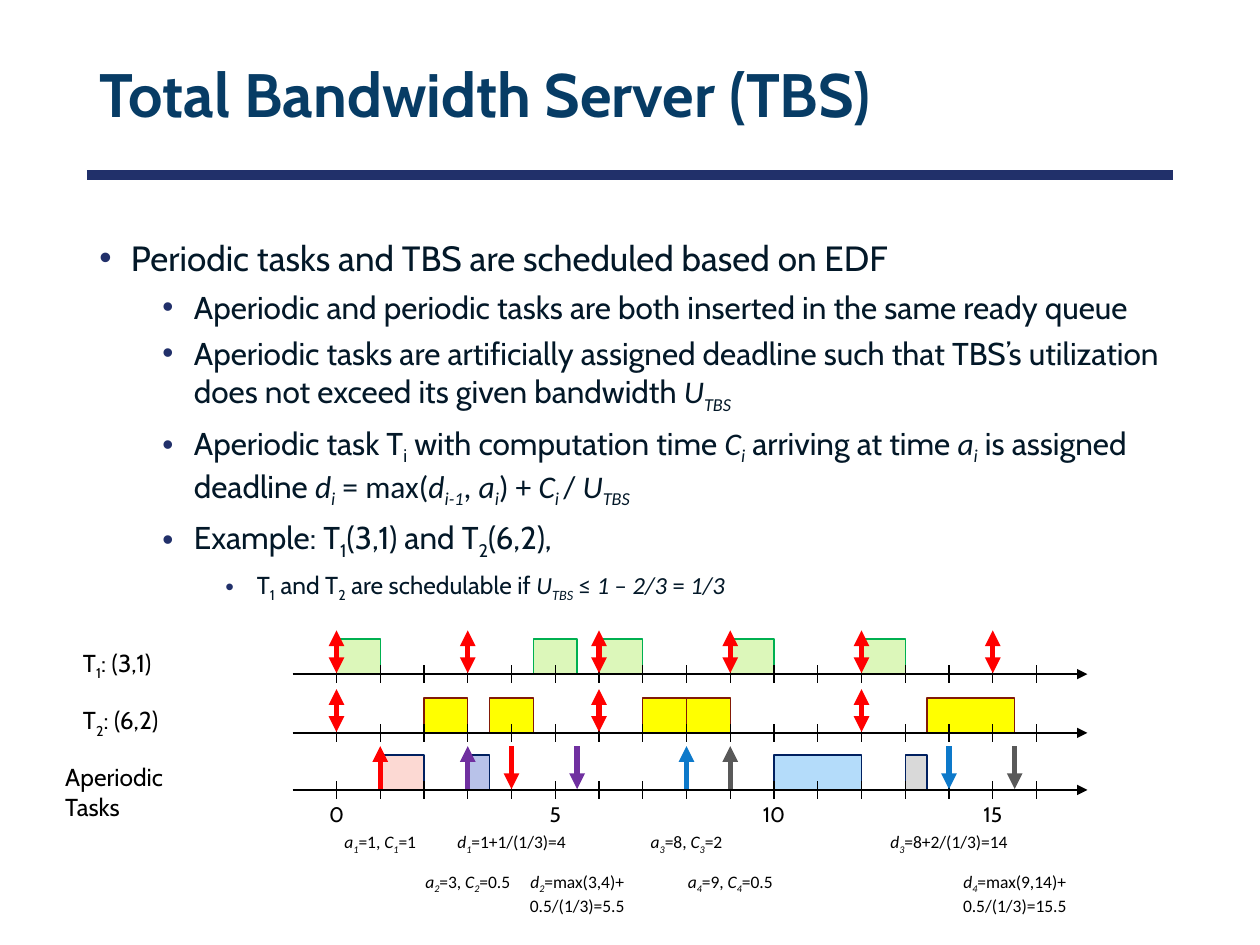
from lxml import etree
from pptx import Presentation
from pptx.dml.color import RGBColor
from pptx.enum.shapes import MSO_CONNECTOR, MSO_SHAPE
from pptx.enum.text import MSO_ANCHOR, PP_ALIGN
from pptx.oxml.ns import qn
from pptx.util import Pt

RECT = MSO_SHAPE.RECTANGLE
STRAIGHT = MSO_CONNECTOR.STRAIGHT
MIDDLE = MSO_ANCHOR.MIDDLE
LEFT, CENTER = PP_ALIGN.LEFT, PP_ALIGN.CENTER

COLORS = {
    "title": "073C65", "body": "031828", "accent": "21306A", "black": "000000",
    "green": "DCF7BA", "green_edge": "00B050", "yellow": "FFFF00", "brown": "821A08",
    "pink": "FCD9D3", "lilac": "B8C2E9", "sky": "B4DCFA", "silver": "D9D9D9",
    "navy": "002060", "red": "FF0000", "purple": "7030A0", "blue": "0D79CA",
    "gray": "595959",
}
ORIGIN, UNIT, TICKS = 192.3, 25, 17
BAR_H, ARROW_H, TICK_H = 20, 25, 5

BULLETS = [
    (0, 20, "Periodic tasks and TBS are scheduled based on EDF"),
    (1, 18, "Aperiodic and periodic tasks are both inserted in the same ready queue"),
    (1, 18, "Aperiodic tasks are artificially assigned deadline such that TBS’s utilization "
            "does not exceed its given bandwidth ^*U~TBS~*^"),
    (1, 18, "Aperiodic task T~i~ with computation time ^*C~i~*^ arriving at time ^*a~i~*^ "
            "is assigned deadline ^*d~i~* = max(*d~i-1~*, *a~i~*) + *C~i ~*/* U~TBS~*^"),
    (1, 18, "Example: T~1~(3,1) and T~2~(6,2),"),
    (2, 14, "T~1~ and T~2~ are schedulable if ^*U~TBS~* ≤ *1* – *2/3* = *1/3*^"),
]

LANES = [
    ("T~1~: (3,1)", (40.3, 366.5, 58.3, 24.5), 385.2,
     [(t, 1, "green", "green_edge") for t in (0, 4.5, 6, 9, 12)],
     [(t, "red", True, True) for t in range(0, 16, 3)]),
    ("T~2~: (6,2)", (40.3, 399.6, 58.3, 24.5), 418.8,
     [(t, n, "yellow", "brown") for t, n in ((2, 1), (3.5, 1), (7, 1), (8, 1), (13.5, 2))],
     [(t, "red", True, True) for t in (0, 6, 12)]),
    ("Aperiodic Tasks", (30.2, 432, 96, 41), 451.4,
     [(1, 1, "pink", "navy"), (3, 0.5, "lilac", "navy"),
      (10, 2, "sky", "navy"), (13, 0.5, "silver", "navy")],
     [(t, c, False, True) for t, c in ((1, "red"), (3, "purple"), (8, "blue"), (9, "gray"))]
     + [(t, c, True, False) for t, c in ((4, "red"), (5.5, "purple"), (14, "blue"), (15.5, "gray"))]),
]

NOTES = [
    (1, 471.6, 57, "*a~1~*=1, *C~1~*=1"),
    (4, 471.6, 78, "*d~1~*=1+1/(1/3)=4"),
    (8, 471.6, 57, "*a~3~*=8, *C~3~*=2"),
    (14, 471.6, 83, "*d~3~*=8+2/(1/3)=14"),
    (3, 494, 65, "*a~2~*=3, *C~2~*=0.5"),
    (5.5, 494, 69, "*d~2~*=max(3,4)+\n0.5/(1/3)=5.5"),
    (9, 494, 65, "*a~4~*=9, *C~4~*=0.5"),
    (15.5, 494, 74, "*d~4~*=max(9,14)+\n0.5/(1/3)=15.5"),
]


def rgb(name):
    return RGBColor.from_string(COLORS[name])


def time_x(t):
    return ORIGIN + UNIT * t


def add_runs(p, markup, size, color, font="Cabin", bold=False):
    on = {"*": False, "~": False, "^": False}
    text = ""
    for ch in markup + "\0":
        if ch not in "*~^\n\0":
            text += ch
            continue
        if text:
            r = p.add_run()
            r.text = text
            r.font.size = Pt(size)
            r.font.name = "Calibri" if on["^"] else font
            r.font.bold = bold
            r.font.italic = on["*"]
            r.font.color.rgb = rgb(color)
            if on["~"]:
                r._r.get_or_add_rPr().set("baseline", "-25000")
            text = ""
        if ch == "\n":
            p.add_line_break()
        elif ch in on:
            on[ch] = not on[ch]


def add_text(shapes, box, wrap=True):
    tf = shapes.add_textbox(*map(Pt, box)).text_frame
    tf.word_wrap = wrap
    return tf


def add_label(shapes, box, markup, size, font="Cabin", align=LEFT, wrap=False):
    p = add_text(shapes, box, wrap).paragraphs[0]
    p.alignment = align
    add_runs(p, markup, size, "black", font)


def add_line(shapes, x1, y1, x2, y2, color, width, head=False, tail=False):
    sp = shapes.add_connector(STRAIGHT, Pt(x1), Pt(y1), Pt(x2), Pt(y2))
    sp.line.color.rgb = rgb(color)
    sp.line.width = Pt(width)
    ln = sp.line._get_or_add_ln()
    for tag, wanted in (("a:headEnd", head), ("a:tailEnd", tail)):
        if wanted:
            etree.SubElement(ln, qn(tag), type="triangle")
    etree.SubElement(sp._element.spPr, qn("a:effectLst"))


def add_title(shapes, box):
    tf = add_text(shapes, box)
    tf.vertical_anchor = MIDDLE
    p = tf.paragraphs[0]
    p.line_spacing = 0.9
    add_runs(p, "Total Bandwidth Server (TBS)", 35, "title", bold=True)
    left, top, width, height = box
    y = top + height + 5.5
    add_line(shapes, left, y, left + width, y, "accent", 6)


def add_bullets(shapes, box):
    tf = add_text(shapes, box)
    for i, (level, size, markup) in enumerate(BULLETS):
        p = tf.add_paragraph() if i else tf.paragraphs[0]
        p.level = level
        p.space_before = Pt(5 if level else 10)
        pPr = p._p.get_or_add_pPr()
        pPr.set("marL", str(Pt(18 + 36 * level)))
        pPr.set("indent", str(Pt(-18)))
        clr = etree.SubElement(pPr, qn("a:buClr"))
        etree.SubElement(clr, qn("a:srgbClr"), val=COLORS["accent"])
        etree.SubElement(pPr, qn("a:buFont"), typeface="Arial")
        etree.SubElement(pPr, qn("a:buChar"), char="•")
        add_runs(p, markup, size, "body")


def add_lane(shapes, label, box, y, bars, arrows):
    for t, length, fill, edge in bars:
        sp = shapes.add_shape(RECT, Pt(time_x(t)), Pt(y - BAR_H), Pt(UNIT * length), Pt(BAR_H))
        sp.shadow.inherit = False
        sp.fill.solid()
        sp.fill.fore_color.rgb = rgb(fill)
        sp.line.color.rgb = rgb(edge)
        sp.line.width = Pt(0.75)
    add_label(shapes, box, label, 14, wrap=" " in label and ":" not in label)
    for t in range(TICKS):
        add_line(shapes, time_x(t), y - TICK_H, time_x(t), y + TICK_H, "black", 0.75)
    add_line(shapes, time_x(-1), y, 621.4, y, "black", 1.5, tail=True)
    for t, color, head, tail in arrows:
        add_line(shapes, time_x(t), y - 0.5, time_x(t), y - ARROW_H, color, 3, head, tail)


def add_schedule(shapes):
    for lane in LANES:
        add_lane(shapes.add_group_shape().shapes, *lane)
    for t in range(0, TICKS, 5):
        add_label(shapes, (time_x(t) - 13.5, 454.3, 27, 21.6), str(t), 12, align=CENTER)
    for t, top, width, markup in NOTES:
        height = 31.7 if "\n" in markup else 19.4
        add_label(shapes, (time_x(t) - width / 2, top, width, height), markup, 10,
                  "Calibri", CENTER)


def main():
    prs = Presentation()
    prs.slide_width, prs.slide_height = Pt(720), Pt(540)
    s = prs.slides.add_slide(prs.slide_layouts[6])
    add_title(s.shapes, (49.7, 16.6, 620.6, 78))
    add_bullets(s.shapes, (49.7, 131.8, 620.6, 391))
    add_schedule(s.shapes)
    prs.save("out.pptx")


if __name__ == "__main__":
    main()
